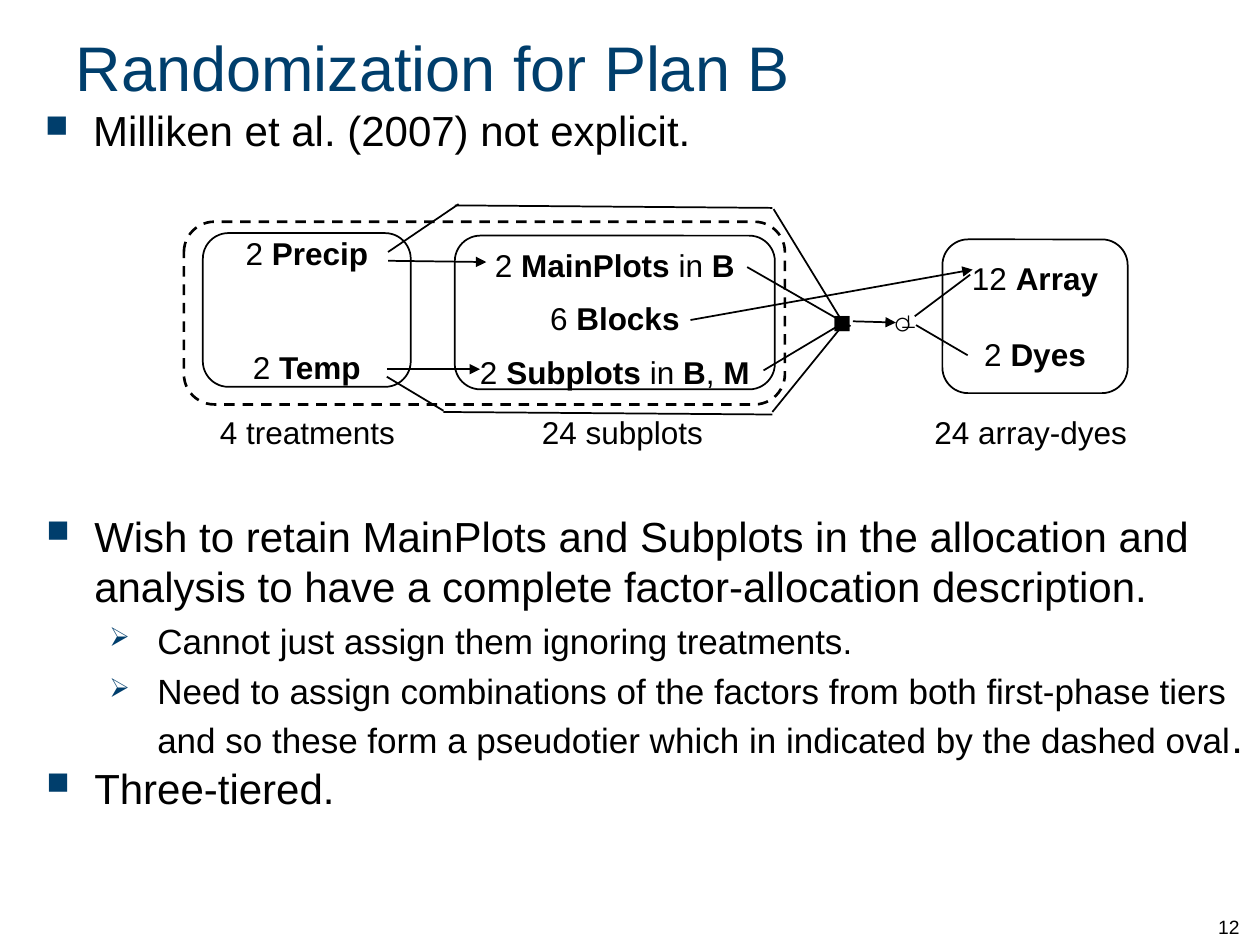
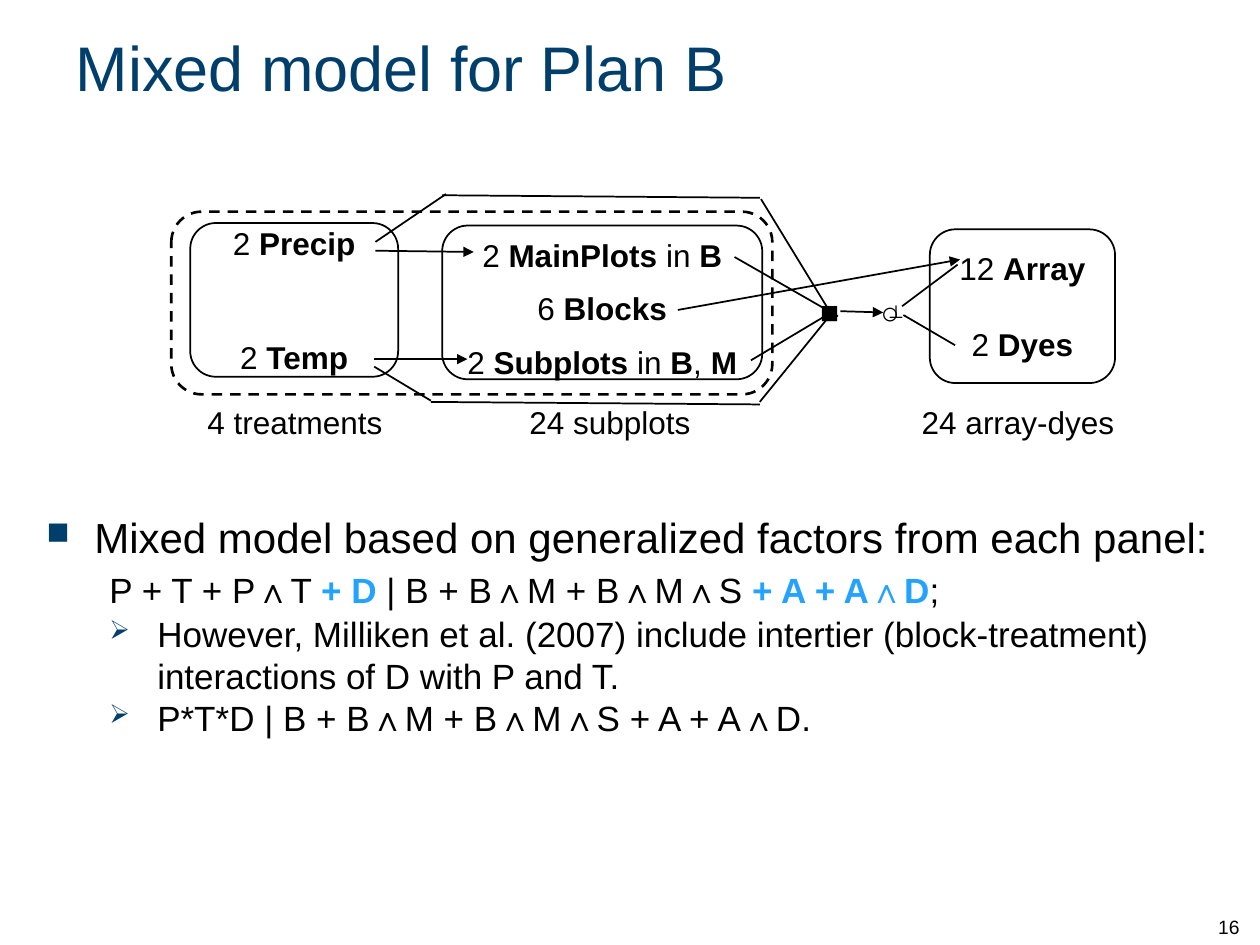
from dataclasses import dataclass
from itertools import cycle

from lxml import etree
from pptx import Presentation
from pptx.dml.color import RGBColor
from pptx.enum import dml, shapes, text
from pptx.oxml.ns import qn
from pptx.util import Inches, Pt


@dataclass(frozen=True)
class Theme:
    font = "Arial"
    navy = RGBColor(0x00, 0x3E, 0x6C)
    black = RGBColor(0, 0, 0)
    sky = RGBColor(0x23, 0xA2, 0xFF)
    line = 1
    dash_line = 1.5


T = Theme()
# style: size, colour, bold
STYLES = {
    "title": (36, T.navy, False),
    "body": (24, T.black, False),
    "sub": (20, T.black, False),
    "accent": (20, T.sky, True),
    "label": (18, T.black, False),
    "strong": (18, T.black, True),
    "small": (12, T.black, False),
    "number": (11, T.black, False),
}
# bullet level: left margin, character
BULLETS = [(0.38, "■"), (0.88, "➢")]


def add_runs(p, runs):
    for words, style in runs:
        if words == "\n":
            p.add_line_break()
            continue
        r = p.add_run()
        r.text = words
        size, color, bold = STYLES[style]
        r.font.name, r.font.size, r.font.bold = T.font, Pt(size), bold
        r.font.color.rgb = color


def add_text(s, x, y, w, h, words, style, align=text.PP_ALIGN.LEFT):
    sp = s.shapes.add_textbox(Inches(x), Inches(y), Inches(w), Inches(h))
    tf = sp.text_frame
    tf.word_wrap = True
    p = tf.paragraphs[0]
    p.alignment = align
    if words:
        add_runs(p, [(words, style)])
    return tf


# Diagram panels: x, y, w, gap between lines (pt), lines with _bold_ parts
PANELS = [
    (1.61, 1.85, 1.65, 44, ["2 _Precip_", "2 _Temp_"]),
    (3.61, 1.87, 2.54, 9,
     ["2 _MainPlots_ in _B_", "6 _Blocks_", "2 _Subplots _in _B_, _M_"]),
    (7.48, 1.9, 1.47, 22, ["12 _Array_", "2 _Dyes_"]),
]
PANEL_H = 1.22
CAPTIONS = [(1.63, 1.62, "4 treatments"), (4.13, 1.62, "24 subplots"),
            (7.31, 1.74, "24 array-dyes")]
SYMBOLS = [(6.51, 2.35, 0.41, 0.4, "■", "label"),
           (6.99, 2.36, 0.42, 0.4, "○", "label"),
           (7.03, 2.39, 0.31, 0.3, "⊥", "small")]
ARROWS = [(5.48, 2.54, 7.72, 2.14), (3.07, 2.93, 3.81, 2.93),
          (3.08, 2.07, 3.86, 2.08), (6.77, 2.55, 7.11, 2.56)]
LINES = [
    # upper route from Precip
    (3.08, 2, 3.64, 1.62), (3.61, 1.63, 6.13, 1.65), (6.14, 1.66, 6.69, 2.56),
    # lower route from Temp
    (3.07, 2.99, 3.52, 3.26), (3.52, 3.27, 6.13, 3.29), (6.13, 3.27, 6.69, 2.58),
    # plots to the square, circle to array and dyes
    (5.93, 2.12, 6.75, 2.59), (6.06, 2.94, 6.73, 2.54),
    (7.27, 2.58, 7.68, 2.82), (7.26, 2.51, 7.7, 2.18),
]

# Slides: title, number, diagram shift, text blocks of (level, space before, runs)
SLIDES = [
    ("Randomization for Plan B", "12", (0, 0), [
        (0.26, 0.78, 9.51, 0.53, [
            (0, 0, [("Milliken et al. (2007) not explicit.", "body")])]),
        (0.27, 4, 9.73, 3.47, [
            (0, 0, [("Wish to retain MainPlots and Subplots in the allocation and "
                     "analysis to have a complete factor-allocation description.",
                     "body")]),
            (1, 4.8, [("Cannot just assign them ignoring treatments.", "sub")]),
            (1, 4.8, [("Need to assign combinations of the factors from both "
                       "first-phase tiers and so these form a pseudotier which in "
                       "indicated by the dashed oval", "sub"), (".", "body")]),
            (0, 0, [("Three-tiered.", "body")])]),
    ]),
    ("Mixed model for Plan B", "16", (-0.1, -0.08), [
        (0.27, 4.01, 9.73, 2.41, [
            (0, 0, [("Mixed model based on generalized factors from each panel:",
                     "body"), ("\n", "body"), ("\t", "body"),
                    ("P + T + P∧T ", "sub"), ("+ D", "accent"),
                    (" | B + B∧M + B∧M∧S ", "sub"), ("+ A + A∧D", "accent"),
                    (";", "sub")]),
            (1, 0, [("However, Milliken et al. (2007) include intertier "
                     "(block-treatment) interactions of D with P and T.", "sub")]),
            (1, 0, [("P*T*D | B + B∧M + B∧M∧S + A + A∧D.", "sub")])]),
    ]),
]

prs = Presentation()
prs.slide_width, prs.slide_height = Inches(10), Inches(7.5)

for title, number, (dx, dy), blocks in SLIDES:
    s = prs.slides.add_slide(prs.slide_layouts[5])

    # Title and slide number
    sp = s.shapes.title
    sp.left, sp.top, sp.width, sp.height = map(Inches, (0.5, 0.08, 9, 0.9))
    sp.text_frame.vertical_anchor = text.MSO_ANCHOR.MIDDLE
    p = sp.text_frame.paragraphs[0]
    p.alignment = text.PP_ALIGN.LEFT
    add_runs(p, [(title, "title")])
    tf = add_text(s, 9.57, 7, 0.42, 0.5, number, "number")
    tf.vertical_anchor = text.MSO_ANCHOR.BOTTOM

    # Bulleted text
    for x, y, w, h, paras in blocks:
        tf = add_text(s, x, y, w, h, "", "body")
        for i, (level, before, runs) in enumerate(paras):
            p = tf.add_paragraph() if i else tf.paragraphs[0]
            margin, char = BULLETS[level]
            p.level = level
            pPr = p._p.get_or_add_pPr()
            pPr.set("marL", str(Inches(margin)))
            pPr.set("indent", str(Inches(-0.38)))
            color = etree.SubElement(pPr, qn("a:buClr"))
            etree.SubElement(color, qn("a:srgbClr"), val=str(T.navy))
            etree.SubElement(pPr, qn("a:buSzPct"), val="75000")
            etree.SubElement(pPr, qn("a:buChar"), char=char)
            p.space_before = Pt(before)
            add_runs(p, runs)

    # Panels and the dashed pseudotier around the first two
    outlines = [(x, y, w, PANEL_H, gap, rows) for x, y, w, gap, rows in PANELS]
    outlines.append((1.46, 1.76, 4.77, 1.45, 0, []))
    for x, y, w, h, gap, rows in outlines:
        sp = s.shapes.add_shape(shapes.MSO_SHAPE.ROUNDED_RECTANGLE,
                                Inches(x + dx), Inches(y + dy), Inches(w), Inches(h))
        sp.shadow.inherit = False
        sp.fill.background()
        sp.line.color.rgb = T.black
        sp.line.width = Pt(T.line if rows else T.dash_line)
        if not rows:
            sp.line.dash_style = dml.MSO_LINE.DASH
        tf = sp.text_frame
        tf.word_wrap = len(rows) == 3
        tf.vertical_anchor = text.MSO_ANCHOR.MIDDLE
        if len(rows) == 3:
            tf.vertical_anchor = text.MSO_ANCHOR.TOP
            tf.margin_left = tf.margin_right = Inches(0.01)
            tf.margin_top = tf.margin_bottom = Inches(0.02)
        for i, row in enumerate(rows):
            p = tf.add_paragraph() if i else tf.paragraphs[0]
            p.alignment = text.PP_ALIGN.CENTER
            p.space_before = Pt(gap if i else 0)
            parts = zip(row.split("_"), cycle(["label", "strong"]))
            add_runs(p, [part for part in parts if part[0]])

    # Captions and symbols
    for x, w, words in CAPTIONS:
        add_text(s, x + dx, 3.23 + dy, w, 0.4, words, "label", text.PP_ALIGN.CENTER)
    for x, y, w, h, words, style in SYMBOLS:
        add_text(s, x + dx, y + dy, w, h, words, style)

    # Lines and arrows
    for i, (x1, y1, x2, y2) in enumerate(ARROWS + LINES):
        cn = s.shapes.add_connector(shapes.MSO_CONNECTOR.STRAIGHT,
                                    Inches(x1 + dx), Inches(y1 + dy),
                                    Inches(x2 + dx), Inches(y2 + dy))
        cn.line.color.rgb = T.black
        cn.line.width = Pt(T.line)
        if i < len(ARROWS):
            etree.SubElement(cn.line._get_or_add_ln(), qn("a:tailEnd"),
                             type="triangle", w="med", len="med")
        etree.SubElement(cn._element.spPr, qn("a:effectLst"))

prs.save("out.pptx")
